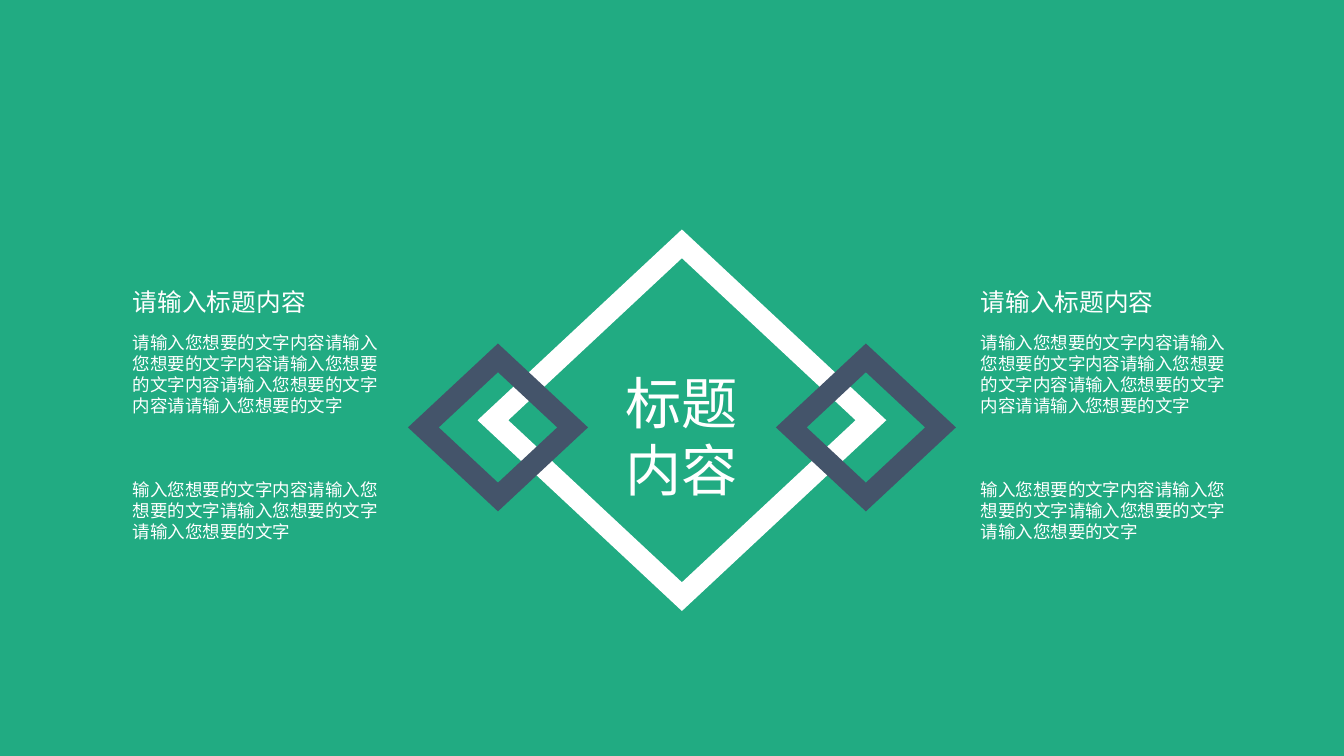
import pptx
import pptx.enum.shapes
import pptx.enum.text
import pptx.dml.color
import pptx.oxml.ns
import pptx.util
import lxml.etree

Pt = pptx.util.Pt
CENTER = pptx.enum.text.PP_ALIGN.CENTER
LEFT = pptx.enum.text.PP_ALIGN.LEFT
COLORS = {"background": "21AB82", "white": "FFFFFF", "slate": "44546A"}

HEADING = "请输入标题内容"
BODY = [
    "请输入您想要的文字内容" * 3 + "请输入您想要的文字",
    "内容请请输入您想要的文字",
    "输入您想要的文字内容" + "请输入您想要的文字" * 3,
]


def color(name):
    return pptx.dml.color.RGBColor.from_string(COLORS[name])


class SlideBuilder:
    def __init__(self, presentation):
        comparison_layout = presentation.slide_layouts[4]
        self.slide = presentation.slides.add_slide(comparison_layout)
        fill = self.slide.background.fill
        fill.solid()
        fill.fore_color.rgb = color("background")

    def place(self, shape, box):
        for name, value in zip(("left", "top", "width", "height"), box):
            setattr(shape, name, Pt(value))

    def text(self, index, box, lines, size, font="Calibri", align=LEFT, gaps=()):
        """Fill a placeholder; gaps gives the space before each line."""
        shape = self.slide.placeholders[index]
        self.place(shape, box)
        frame = shape.text_frame
        frame.text = "\n".join(lines)
        frame_format = {
            "margin_left": 0, "margin_top": 0, "margin_right": 0, "margin_bottom": 0,
            "word_wrap": True,
            "auto_size": pptx.enum.text.MSO_AUTO_SIZE.NONE,
            "vertical_anchor": pptx.enum.text.MSO_ANCHOR.TOP,
        }
        for name, value in frame_format.items():
            setattr(frame, name, value)
        for paragraph, gap in zip(frame.paragraphs, gaps or [0] * len(lines)):
            properties = paragraph._p.get_or_add_pPr()
            properties.set("marL", "0")
            properties.set("indent", "0")
            lxml.etree.SubElement(properties, pptx.oxml.ns.qn("a:buNone"))
            paragraph.alignment = align
            paragraph.space_before = Pt(gap)
            for run in paragraph.runs:
                for name, value in {"name": font, "size": Pt(size), "bold": False}.items():
                    setattr(run.font, name, value)
                run.font.color.rgb = color("white")

    def diamond(self, box, line_color):
        shape = self.slide.shapes.add_shape(
            pptx.enum.shapes.MSO_SHAPE.DIAMOND, *map(Pt, box))
        shape.shadow.inherit = False
        shape.fill.background()
        shape.line.width = Pt(15)
        shape.line.color.rgb = color(line_color)
        outline = shape.line._get_or_add_ln()
        lxml.etree.SubElement(outline, pptx.oxml.ns.qn("a:miter"), lim="800000")


def main():
    presentation = pptx.Presentation()
    presentation.slide_width = Pt(960)
    presentation.slide_height = Pt(540)
    builder = SlideBuilder(presentation)

    columns = [(1, 2, 95, "Noto Sans CJK SC"), (3, 4, 700.5, "Calibri")]
    for heading_index, body_index, left, heading_font in columns:
        builder.text(heading_index, (left, 205.2, 172, 21.6), [HEADING], 17.6, heading_font)
        builder.text(body_index, (left, 236.9, 180.7, 151.9), BODY, 12.5, gaps=(0, 0, 45.5))
    builder.text(0, (401.8, 262.8, 170.6, 97.2), ["标题", "内容"], 40.1,
                 "Noto Sans CJK SC", CENTER)

    builder.diamond((352.1, 174.2, 270, 252), "white")
    for left in (302.4, 565.2):
        builder.diamond((left, 255.6, 106.6, 99.4), "slate")

    presentation.save("out.pptx")


if __name__ == "__main__":
    main()
